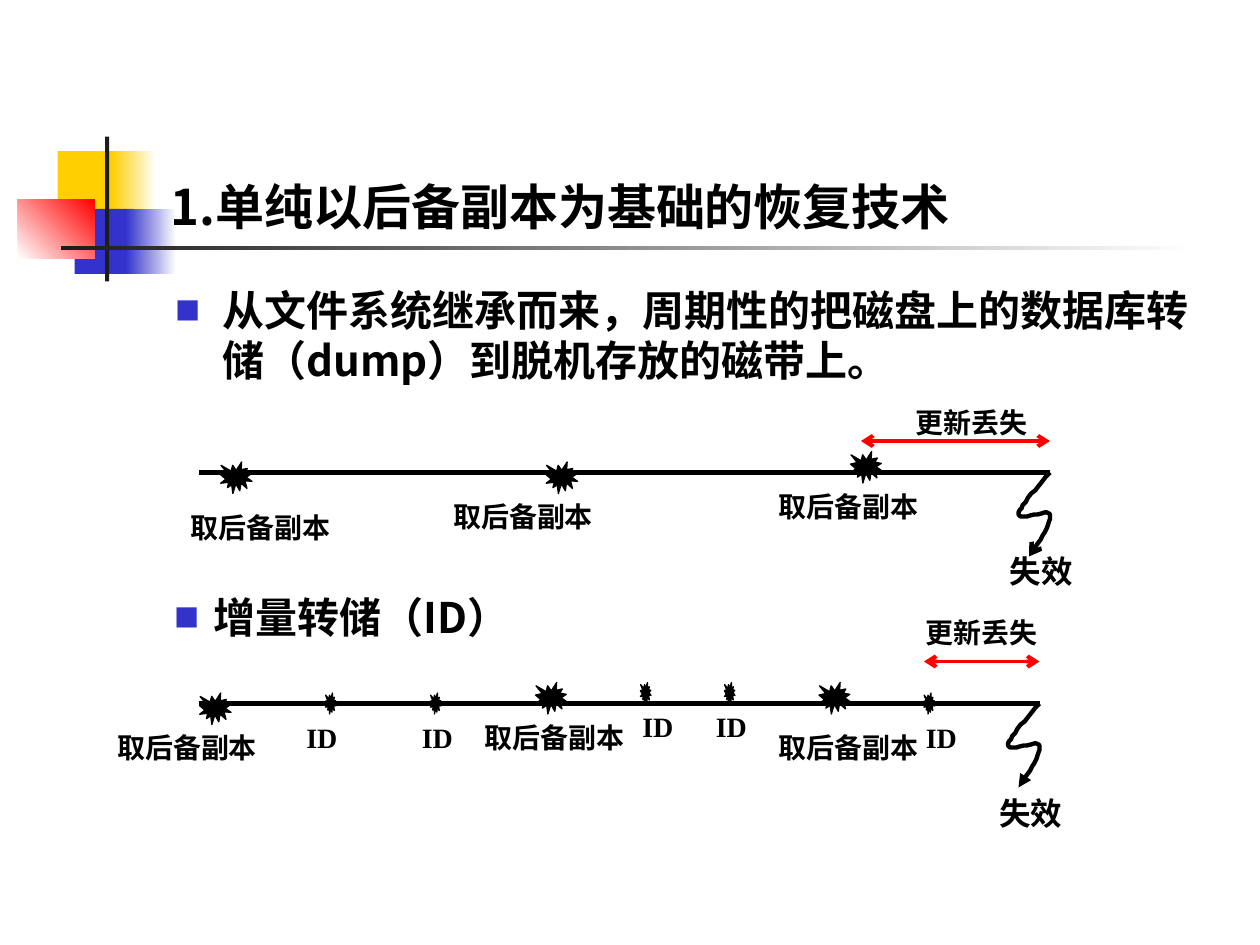
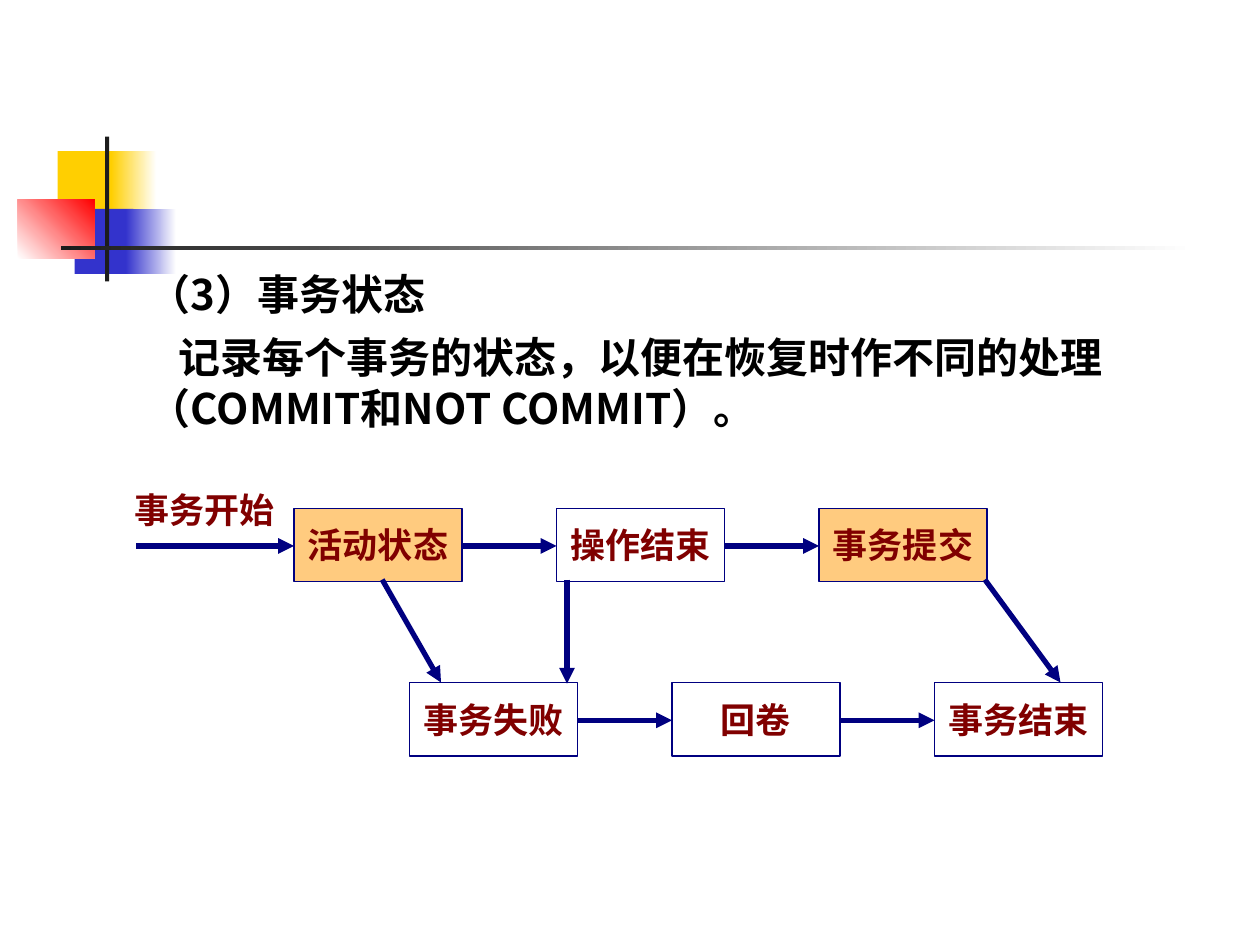
from lxml import etree
from pptx import Presentation, util as u
from pptx.dml.color import RGBColor
from pptx.enum import shapes as es, text as et
from pptx.oxml.ns import qn

PX = 7620  # EMU per px, 120 px to the inch
SANS, SERIF = "Noto Sans CJK SC", "Times New Roman"
COLORS = {
    "text": "000000", "paper": "FFFFFF", "yellow": "FFCF01", "blue": "3333CC",
    "red": "FF0000", "rule": "1C1C1C", "flow": "000080", "state": "800000",
    "active": "FF9900",
}
FAILURE_CURVES = (
    ((0, 0), (-15, 17), (-30, 34), (-30, 40)),
    ((-30, 40), (-30, 47), (-1, 34), (0, 40)),
    ((0, 40), (2, 47), (-9, 64), (-20, 80)),
)
SEAL_SIZES = {"取后备副本": (30, 30), "ID": (10, 20)}


def px(*lengths):
    return [u.Emu(length * PX) for length in lengths]


def rgb(name):
    return RGBColor.from_string(COLORS[name])


def add_xml(parent, tag, **attributes):
    return etree.SubElement(parent, qn(tag), attributes)


def style_line(shape, color, width, head=None, tail=None):
    shape.line.width = u.Pt(width)
    shape.line.color.rgb = rgb(color)
    ln = shape._element.spPr.find(qn("a:ln"))
    for tag, kind in (("a:headEnd", head), ("a:tailEnd", tail)):
        if kind:
            add_xml(ln, tag, type=kind)


def add_line(slide, start, end, color, width, head=None, tail=None):
    line = slide.shapes.add_connector(
        es.MSO_CONNECTOR.STRAIGHT, *px(*start, *end))
    style_line(line, color, width, head, tail)
    add_xml(line._element.spPr, "a:effectLst")


def add_block(slide, preset, box, fill=None):
    """Add a preset shape with a plain fill or none, no line and no shadow."""
    block = slide.shapes.add_shape(preset, *px(*box))
    block.shadow.inherit = False
    block.line.fill.background()
    if fill:
        block.fill.solid()
        block.fill.fore_color.rgb = rgb(fill)
    else:
        block.fill.background()
    return block


def write(shape, words, size, font=SANS, color="text"):
    frame = shape.text_frame
    frame.text = words
    for run in frame.paragraphs[0].runs:
        run.font.size, run.font.bold = u.Pt(size), True
        run.font.color.rgb = rgb(color)
        run.font.name = font
        add_xml(run._r.get_or_add_rPr(), "a:ea", typeface=SANS)
    return frame


def add_text(slide, box, words, size, font=SANS, wrap=True, margin=0, indent=0):
    """Add a text box; margin and first-line indent are in px."""
    frame = write(slide.shapes.add_textbox(*px(*box)), words, size, font)
    frame.word_wrap = wrap
    properties = frame.paragraphs[0]._p.get_or_add_pPr()
    properties.set("marL", str(margin * PX))
    properties.set("indent", str(indent * PX))
    return frame


def add_bullet_text(slide, box, words, margin, wrap=True):
    frame = add_text(slide, box, words, 24, wrap=wrap,
                     margin=margin, indent=-margin)
    properties = frame.paragraphs[0]._p.get_or_add_pPr()
    add_xml(add_xml(properties, "a:buClr"), "a:srgbClr", val=COLORS["blue"])
    add_xml(properties, "a:buSzPct", val="60000")
    add_xml(properties, "a:buFont", typeface=SANS)
    add_xml(properties, "a:buChar", char="■")


def add_fade(slide, box, start, end, angle=0):
    fade = add_block(slide, es.MSO_SHAPE.RECTANGLE, box)
    fade.fill.gradient()
    fade.fill.gradient_angle = angle
    for stop, color in zip(fade.fill.gradient_stops, (start, end)):
        stop.color.rgb = rgb(color)


def add_masthead(slide, left, top):
    """Draw the coloured squares and the crossing rules."""
    rectangle = es.MSO_SHAPE.RECTANGLE
    for color, x, y, fade_x, fade_width in (
            ("yellow", 38, 14, 89, 43), ("blue", 54, 69, 103, 48)):
        add_block(slide, rectangle, (left + x, top + y, 56, 62), color)
        add_fade(slide, (left + fade_x, top + y, fade_width, 62),
                 color, "paper")
    add_fade(slide, (left, top + 60, 73, 56), "paper", "red", 45)
    add_block(slide, rectangle, (left + 83, top, 4, 138), "rule")
    add_fade(slide, (left + 41, top + 104, 1080, 4), "rule", "paper")


def add_failure(slide, left, top, label_drop, arrow):
    """Draw the winding arrow that leaves the end of a timeline."""
    points = []
    for a, b, c, d in FAILURE_CURVES:
        for step in range(1, 13):
            t = step / 12
            weights = ((1 - t) ** 3, 3 * t * (1 - t) ** 2,
                       3 * t * t * (1 - t), t ** 3)
            points.append([
                origin + sum(w * p[axis] for w, p in zip(weights, (a, b, c, d)))
                for axis, origin in enumerate((left, top))])
    builder = slide.shapes.build_freeform(left, top, scale=PX)
    builder.add_line_segments(points, close=False)
    curve = builder.convert_to_shape()
    curve.fill.background()
    curve.shadow.inherit = False
    style_line(curve, "text", 2.5, tail=arrow)
    add_text(slide, (left - 50, top + label_drop, 90, 48), "失效", 18)


def add_timeline(slide, left, top, length, marks, loss, failure):
    """Draw one timeline.

    marks: (label, seal x, seal y, label x, label y);
    loss: (arrow x, arrow y, label x, label y);
    failure: (label drop, arrowhead).
    """
    end = left + length
    add_line(slide, (left, top), (end, top), "text", 3)
    add_failure(slide, end, top, *failure)
    for label, seal_x, seal_y, label_x, label_y in marks:
        seal = add_block(slide, es.MSO_SHAPE.EXPLOSION1,
                         (left + seal_x, top + seal_y, *SEAL_SIZES[label]),
                         "text")
        style_line(seal, "text", 0.75)
        width, font = (60, SERIF) if label == "ID" else (170, SANS)
        add_text(slide, (left + label_x, top + label_y, width, 44),
                 label, 16, font)
    loss_x, loss_y, label_x, label_y = loss
    add_line(slide, (left + loss_x, top + loss_y), (end, top + loss_y),
             "red", 2.25, "arrow", "arrow")
    add_text(slide, (left + label_x, top + label_y, 170, 44), "更新丢失", 16)


def add_state(slide, left, top, words, active=False, outlined=True):
    state = add_block(slide, es.MSO_SHAPE.RECTANGLE, (left, top, 160, 70),
                      "active" if active else None)
    if active:
        tint = state._element.spPr.find(qn("a:solidFill"))[0]
        add_xml(tint, "a:alpha", val="50000")
    if outlined:
        style_line(state, "flow", 0.75)
    frame = write(state, words, 20, SERIF, "state")
    frame.word_wrap = False
    frame.vertical_anchor = et.MSO_ANCHOR.MIDDLE
    frame.paragraphs[0].alignment = et.PP_ALIGN.CENTER


def add_state_flow(slide, left, top):
    step, width = 250, 160
    rows = (
        (170, 34, 70, ("活动状态", "操作结束", "事务提交")),
        (280, 200, 236, ("事务失败", "回卷", "事务结束")),
    )
    arrows = [((20, 70), (170, 70)), ((254, 102), (310, 200)),
              ((430, 102), (430, 201)), ((828, 102), (900, 200))]
    add_state(slide, left + 5, top, "事务开始", outlined=False)
    for row_x, row_y, arrow_y, states in rows:
        for column, words in enumerate(states):
            x = row_x + column * step
            add_state(slide, left + x, top + row_y, words,
                      active=words in ("活动状态", "事务提交"))
            if column:
                arrows.append(((x - step + width, arrow_y), (x, arrow_y)))
    for (x1, y1), (x2, y2) in arrows:
        add_line(slide, (left + x1, top + y1), (left + x2, top + y2),
                 "flow", 3, tail="triangle")


def new_slide(deck):
    slide = deck.slides.add_slide(deck.slide_layouts[6])
    add_masthead(slide, 17, 130)
    return slide


def build_backup_slide(deck):
    slide = new_slide(deck)
    title = add_text(slide, (151, 80, 1022, 150),
                     "1.单纯以后备副本为基础的恢复技术", 28)
    title.vertical_anchor = et.MSO_ANCHOR.BOTTOM
    add_bullet_text(
        slide, (155, 265, 1020, 110),
        "从文件系统继承而来，周期性的把磁盘上的数据库转储（dump）到脱机存放的磁带上。",
        45)
    backup = "取后备副本"
    add_timeline(
        slide, 190, 450, 810,
        marks=((backup, 20, -10, -20, 30), (backup, 330, -10, 230, 20),
               (backup, 620, -20, 540, 10)),
        loss=(630, -30, 670, -70), failure=(70, "arrow"))
    add_bullet_text(slide, (154, 557, 370, 60), "增量转储（ID）", 38, wrap=False)
    add_timeline(
        slide, 190, 670, 800,
        marks=((backup, 0, -10, -90, 20), ("ID", 120, -10, 90, 10),
               ("ID", 220, -10, 200, 10), (backup, 320, -20, 260, 10),
               ("ID", 420, -20, 410, 0), ("ID", 500, -20, 480, 0),
               (backup, 590, -20, 540, 20), ("ID", 690, -10, 680, 10)),
        loss=(690, -40, 680, -90), failure=(80, "triangle"))


def build_state_slide(deck):
    slide = new_slide(deck)
    add_text(slide, (130, 250, 950, 60), "（3）事务状态", 24)
    add_text(slide, (130, 310, 980, 108),
             "记录每个事务的状态，以便在恢复时作不同的处理（COMMIT和NOT COMMIT）。",
             24, indent=28)
    add_state_flow(slide, 110, 450)


def main():
    deck = Presentation()
    deck.slide_width, deck.slide_height = px(1200, 900)
    build_backup_slide(deck)
    build_state_slide(deck)
    deck.save("out.pptx")


if __name__ == "__main__":
    main()
